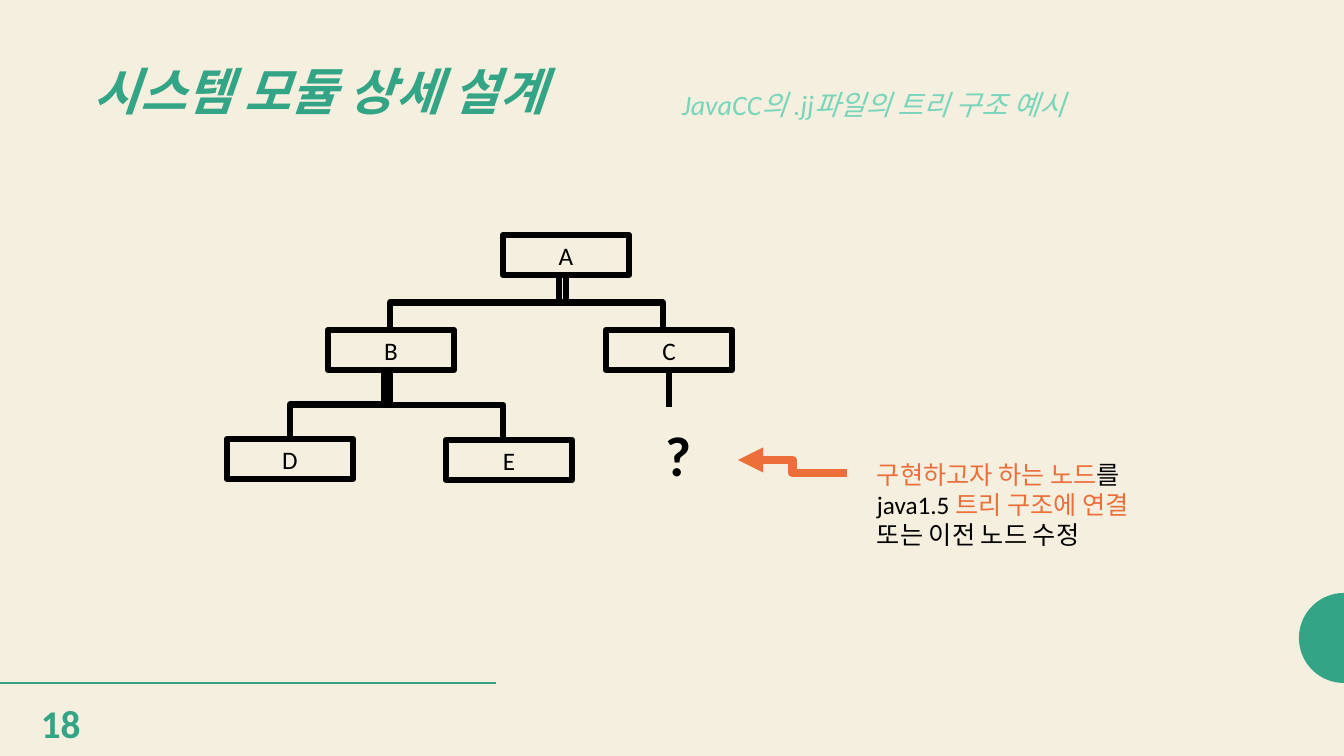
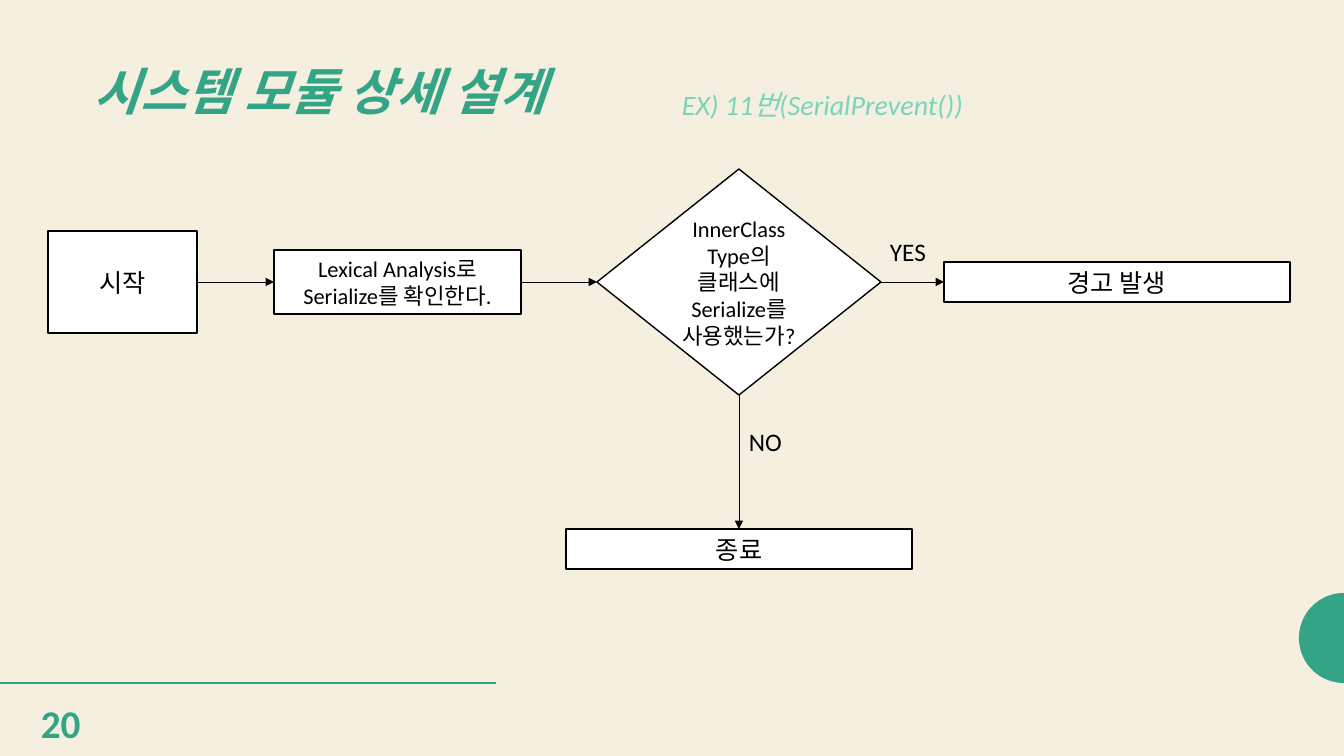
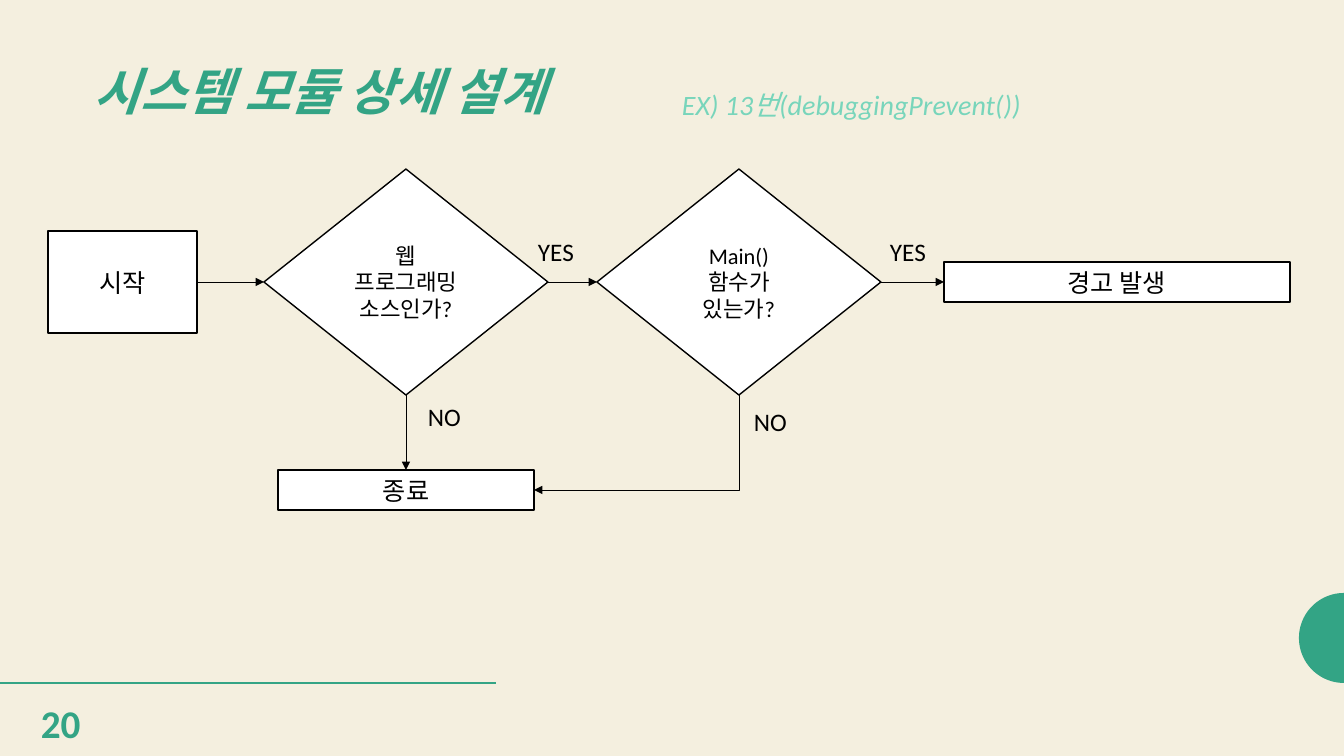
from dataclasses import dataclass
from math import cos, pi, sin

from lxml import etree
from pptx import Presentation
from pptx.dml.color import RGBColor
from pptx.enum.shapes import MSO_CONNECTOR, MSO_SHAPE
from pptx.enum.text import MSO_ANCHOR, MSO_AUTO_SIZE, PP_ALIGN
from pptx.oxml.ns import qn
from pptx.util import Emu, Pt

RECTANGLE, DIAMOND = MSO_SHAPE.RECTANGLE, MSO_SHAPE.DIAMOND
STRAIGHT, ELBOW = MSO_CONNECTOR.STRAIGHT, MSO_CONNECTOR.ELBOW
TOP_ANCHOR, MIDDLE_ANCHOR = MSO_ANCHOR.TOP, MSO_ANCHOR.MIDDLE
GROW, FIXED = MSO_AUTO_SIZE.SHAPE_TO_FIT_TEXT, MSO_AUTO_SIZE.NONE
LEFT_ALIGN, CENTER_ALIGN = PP_ALIGN.LEFT, PP_ALIGN.CENTER
TOP, LEFT, BOTTOM, RIGHT = range(4)

PAGE_WIDTH, PAGE_HEIGHT = 1344, 756
EMU_PER_PX = 914400 / 100.8
FONT = "Calibri"
COLORS = {
    "paper": "F4EFDF",
    "green": "33A485",
    "mint": "78D5BB",
    "orange": "EC6E39",
    "black": "000000",
    "white": "FFFFFF",
}
FORMATS = {
    "title": {"size": Pt(36), "bold": True, "italic": True},
    "subtitle": {"size": Pt(20), "italic": True},
    "number": {"size": Pt(28), "bold": True},
    "question": {"size": Pt(40), "bold": True},
    "normal": {"size": Pt(18)},
    "small": {"size": Pt(16)},
}


@dataclass(frozen=True)
class Span:
    text: str
    color: str = "black"


@dataclass(frozen=True)
class Label:
    left: int
    top: int
    width: int
    height: int
    lines: tuple[tuple[Span, ...], ...]
    look: str = "normal"
    align: PP_ALIGN = LEFT_ALIGN
    wrap: bool = True
    spacing: float = 1.0


@dataclass(frozen=True)
class Node:
    name: str
    left: int
    top: int
    width: int
    height: int
    text: str
    look: str = "normal"
    kind: MSO_SHAPE = RECTANGLE
    anchor: MSO_ANCHOR = TOP_ANCHOR
    fill: str | None = "white"
    weight: float = 1


@dataclass(frozen=True)
class Link:
    begin: str
    begin_side: int
    end: str
    end_side: int


@dataclass(frozen=True)
class Bend:
    begin: tuple[int, int]
    end: tuple[int, int]
    preset: str = "bentConnector3"
    weight: float = 4.5
    arrow: bool = False


def px(length: float) -> Emu:
    return Emu(round(length * EMU_PER_PX))


def rgb(color: str) -> RGBColor:
    return RGBColor.from_string(COLORS[color])


def plain(left: int, top: int, width: int, height: int, text: str,
          look: str = "normal", color: str = "black", spacing: float = 1.0) -> Label:
    return Label(left, top, width, height, ((Span(text, color),),), look, spacing=spacing)


def write(frame, lines: tuple[tuple[Span, ...], ...], look: str, align: PP_ALIGN,
          spacing: float = 1.0) -> None:
    for index, spans in enumerate(lines):
        para = frame.paragraphs[0] if index == 0 else frame.add_paragraph()
        para.alignment = align
        para.line_spacing = spacing
        for span in spans:
            run = para.add_run()
            run.text = span.text
            run.font.color.rgb = rgb(span.color)
            for key, value in {"name": FONT, **FORMATS[look]}.items():
                setattr(run.font, key, value)


def add_label(page, label: Label) -> None:
    box = page.shapes.add_textbox(px(label.left), px(label.top),
                                  px(label.width), px(label.height))
    frame = box.text_frame
    frame.word_wrap = label.wrap
    write(frame, label.lines, label.look, label.align, label.spacing)


def add_node(page, node: Node):
    box = page.shapes.add_shape(node.kind, px(node.left), px(node.top),
                                px(node.width), px(node.height))
    box.shadow.inherit = False
    if node.fill:
        box.fill.solid()
        box.fill.fore_color.rgb = rgb(node.fill)
    else:
        box.fill.background()
    box.line.color.rgb = rgb("black")
    box.line.width = Pt(node.weight)
    frame = box.text_frame
    frame.word_wrap = True
    frame.vertical_anchor = node.anchor
    frame.auto_size = GROW if node.anchor == TOP_ANCHOR else FIXED
    write(frame, ((Span(node.text),),), node.look, CENTER_ALIGN)
    return box


def add_line(page, begin: tuple[float, float], end: tuple[float, float], color: str,
             weight: float, arrow: bool = False, kind: MSO_CONNECTOR = STRAIGHT):
    line = page.shapes.add_connector(kind, px(begin[0]), px(begin[1]), px(end[0]), px(end[1]))
    line.line.color.rgb = rgb(color)
    line.line.width = Pt(weight)
    properties = line._element.spPr
    if arrow:
        etree.SubElement(properties.find(qn("a:ln")), qn("a:tailEnd"), type="triangle")
    etree.SubElement(properties, qn("a:effectLst"))
    return line


def add_link(page, boxes: dict, link: Link) -> None:
    line = add_line(page, (0, 0), (0, 0), "black", 0.5, arrow=True)
    line.begin_connect(boxes[link.begin], link.begin_side)
    line.end_connect(boxes[link.end], link.end_side)


def add_downward_bend(page, bend: Bend) -> None:
    (begin_x, begin_y), (end_x, end_y) = bend.begin, bend.end
    center_x, center_y = (begin_x + end_x) / 2, (begin_y + end_y) / 2
    half_width, half_height = (end_y - begin_y) / 2, abs(end_x - begin_x) / 2
    rightward = end_x > begin_x
    reach = -half_width if rightward else half_width
    line = add_line(page, (center_x - reach, center_y - half_height),
                    (center_x + reach, center_y + half_height),
                    "black", bend.weight, bend.arrow, ELBOW)
    properties = line._element.spPr
    properties.find(qn("a:xfrm")).set("rot", str((270 if rightward else 90) * 60000))
    properties.find(qn("a:prstGeom")).set("prst", bend.preset)


def add_half_disc(page) -> None:
    center_y, radius, steps = 638, 45, 48
    angles = [pi / 2 + pi * step / steps for step in range(steps + 1)]
    points = [(px(PAGE_WIDTH + radius * cos(angle)), px(center_y + radius * sin(angle)))
              for angle in angles]
    builder = page.shapes.build_freeform(*points[0], scale=1.0)
    builder.add_line_segments(points[1:], close=True)
    disc = builder.convert_to_shape()
    disc.shadow.inherit = False
    disc.fill.solid()
    disc.fill.fore_color.rgb = rgb("green")
    disc.line.fill.background()


def add_page(deck, number: str, subtitle: str):
    page = deck.slides.add_slide(deck.slide_layouts[6])
    page.background.fill.solid()
    page.background.fill.fore_color.rgb = rgb("paper")
    add_half_disc(page)
    add_line(page, (0, 683), (496, 683), "green", 2)
    add_label(page, plain(84, 62, 575, 79, "시스템 모듈 상세 설계", "title", "green", 0.9))
    add_label(page, plain(31, 694, 75, 57, number, "number", "green"))
    add_label(page, plain(672, 83, 640, 59, subtitle, "subtitle", "mint"))
    return page


def add_nodes(page, nodes: tuple[Node, ...]) -> dict:
    return {node.name: add_node(page, node) for node in nodes}


def tree_node(name: str, left: int, top: int) -> Node:
    return Node(name, left, top, 126, 40, name, fill=None, weight=4.5)


def decision(name: str, left: int, text: str) -> Node:
    return Node(name, left, 169, 284, 226, text, "small", DIAMOND, MIDDLE_ANCHOR)


TREE_NODES = (
    tree_node("A", 503, 235),
    tree_node("B", 328, 330),
    tree_node("C", 606, 330),
    tree_node("D", 227, 439),
    tree_node("E", 446, 440),
)
TREE_BENDS = (
    Bend((566, 275), (390, 330)),
    Bend((559, 275), (663, 330)),
    Bend((384, 370), (503, 440)),
    Bend((390, 370), (290, 439)),
)
TREE_LABELS = (
    Label(638, 416, 80, 78, ((Span("?"),),), "question", CENTER_ALIGN),
    Label(867, 454, 312, 102, (
        (Span("구현하고자 하는 노드", "orange"), Span("를")),
        (Span("java1.5 "), Span("트리 구조에 연결", "orange")),
        (Span("또는 이전 노드 수정"),),
    ), wrap=False),
)

START = Node("start", 48, 231, 149, 102, "시작", anchor=MIDDLE_ANCHOR)
WARNING = Node("warning", 944, 262, 346, 40, "경고 발생")
WARNING_YES = plain(880, 231, 61, 40, "YES")

SERIAL_NODES = (
    START,
    Node("lexical", 274, 250, 247, 64, "Lexical Analysis로 Serialize를 확인한다.", "small"),
    decision("serialize", 597, "InnerClass Type의 클래스에 Serialize를 사용했는가?"),
    WARNING,
    Node("finish", 566, 529, 346, 40, "종료"),
)
SERIAL_LINKS = (
    Link("start", RIGHT, "lexical", LEFT),
    Link("lexical", RIGHT, "serialize", LEFT),
    Link("serialize", RIGHT, "warning", LEFT),
    Link("serialize", BOTTOM, "finish", TOP),
)
SERIAL_LABELS = (WARNING_YES, plain(739, 421, 61, 40, "NO"))

DEBUG_NODES = (
    START,
    decision("web", 264, "웹 프로그래밍 소스인가?"),
    decision("main", 597, "Main() 함수가 있는가?"),
    WARNING,
    Node("finish", 278, 470, 256, 40, "종료"),
)
DEBUG_LINKS = (
    Link("start", RIGHT, "web", LEFT),
    Link("web", RIGHT, "main", LEFT),
    Link("main", RIGHT, "warning", LEFT),
    Link("web", BOTTOM, "finish", TOP),
)
DEBUG_LABELS = (
    WARNING_YES,
    plain(528, 231, 61, 40, "YES"),
    plain(418, 396, 77, 40, "NO"),
    plain(744, 401, 77, 40, "NO"),
)


def add_tree_page(deck) -> None:
    page = add_page(deck, "18", "JavaCC의 .jj파일의 트리 구조 예시")
    boxes = add_nodes(page, TREE_NODES)
    for bend in TREE_BENDS:
        add_downward_bend(page, bend)
    stem = add_line(page, (669, 370), (669, 407), "black", 4.5)
    stem.begin_connect(boxes["C"], BOTTOM)
    add_line(page, (847, 473), (738, 460), "orange", 6, arrow=True, kind=ELBOW)
    for label in TREE_LABELS:
        add_label(page, label)


def add_flow_page(deck, number: str, subtitle: str, nodes: tuple[Node, ...],
                  links: tuple[Link, ...], labels: tuple[Label, ...],
                  bends: tuple[Bend, ...] = ()) -> None:
    page = add_page(deck, number, subtitle)
    boxes = add_nodes(page, nodes)
    for link in links:
        add_link(page, boxes, link)
    for bend in bends:
        add_downward_bend(page, bend)
    for label in labels:
        add_label(page, label)


def main() -> None:
    deck = Presentation()
    deck.slide_width, deck.slide_height = px(PAGE_WIDTH), px(PAGE_HEIGHT)
    add_tree_page(deck)
    add_flow_page(deck, "20", "EX) 11번(SerialPrevent())",
                  SERIAL_NODES, SERIAL_LINKS, SERIAL_LABELS)
    add_flow_page(deck, "20", "EX) 13번(debuggingPrevent())",
                  DEBUG_NODES, DEBUG_LINKS, DEBUG_LABELS,
                  (Bend((739, 395), (534, 490), "bentConnector2", 0.5, True),))
    deck.save("out.pptx")


if __name__ == "__main__":
    main()
